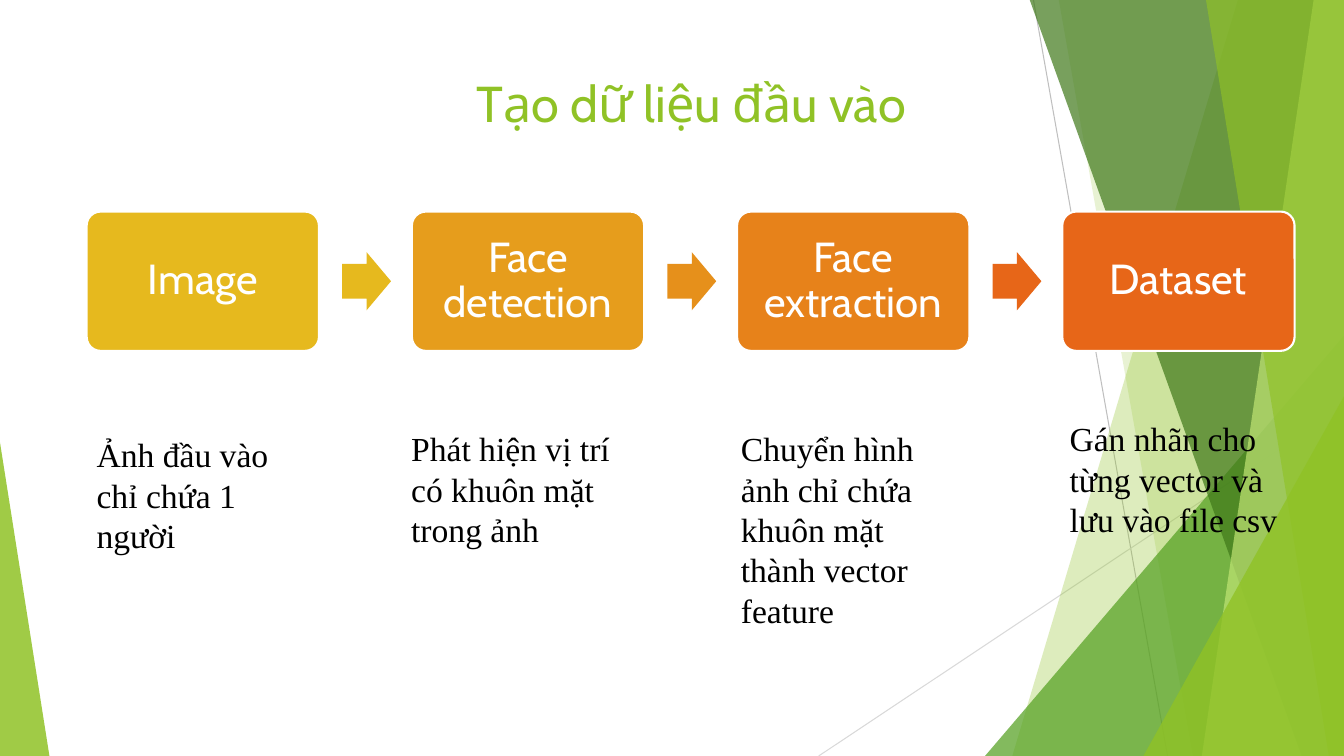
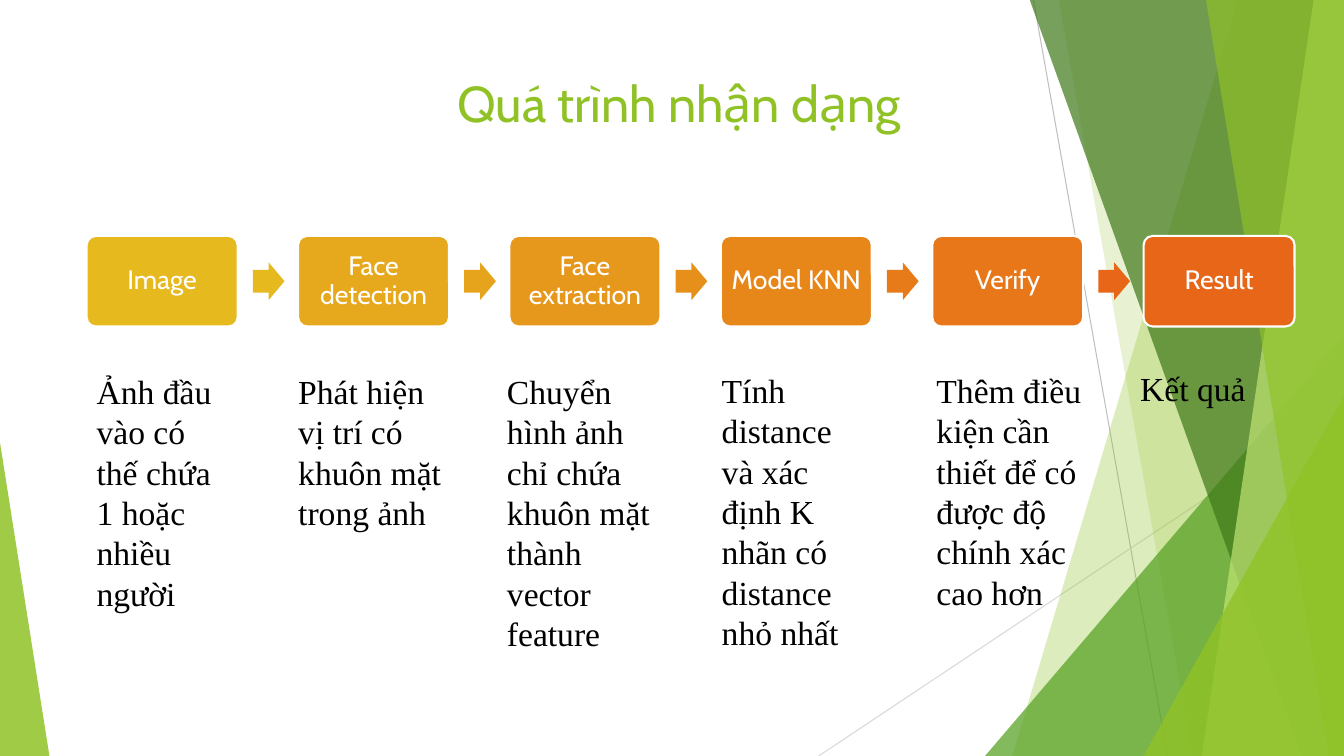
from pptx import Presentation
from pptx.dml.color import RGBColor
from pptx.enum.shapes import MSO_CONNECTOR, MSO_SHAPE
from pptx.enum.text import MSO_ANCHOR, MSO_AUTO_SIZE, PP_ALIGN
from pptx.oxml import parse_xml
from pptx.oxml.ns import nsdecls, qn
from pptx.util import Inches, Pt
from lxml import etree

LINE = MSO_CONNECTOR.STRAIGHT
BOX, ARROW = MSO_SHAPE.ROUNDED_RECTANGLE, MSO_SHAPE.RIGHT_ARROW
WEDGE = MSO_SHAPE.ISOSCELES_TRIANGLE
LEFT, CENTER = PP_ALIGN.LEFT, PP_ALIGN.CENTER
TOP, MIDDLE = MSO_ANCHOR.TOP, MSO_ANCHOR.MIDDLE
GROW = MSO_AUTO_SIZE.SHAPE_TO_FIT_TEXT

COLORS = {
    "white": "FFFFFF", "black": "000000",
    "gray": "BFBFBF", "pale": "D9D9D9",
    "lime": "90C226", "leaf": "54A021", "pine": "3F7819", "mint": "C0E474",
    "gold": "E6B91E", "rust": "E76618",
}
HEAD, BODY = "Cabin", "Times New Roman"
WIDE, HIGH = 13.33, 7.5

# Flow chart: left edge, total width and vertical middle
START, SPAN, MID = 0.86, 11.98, 2.79

# Title box, box text size, then (label, note, note left, note top, note width)
SLIDES = [
    ("Tạo dữ liệu đầu vào", 12.23, 30, [
        ("Image", "Ảnh đầu vào chỉ chứa 1 người", 0.86, 4.26, 2.33),
        ("Face detection", "Phát hiện vị trí có khuôn mặt trong ảnh",
         3.98, 4.2, 2.33),
        ("Face extraction",
         "Chuyển hình ảnh chỉ chứa khuôn mặt thành vector feature",
         7.25, 4.2, 2.33),
        ("Dataset", "Gán nhãn cho từng vector và lưu vào file csv",
         10.51, 4.1, 2.33),
    ]),
    ("Quá trình nhận dạng", 11.99, 19, [
        ("Image", "Ảnh đầu vào có thế chứa 1 hoặc nhiều người",
         0.86, 3.63, 1.56),
        ("Face detection", "Phát hiện vị trí có khuôn mặt trong ảnh",
         2.86, 3.63, 1.64),
        ("Face extraction",
         "Chuyển hình ảnh chỉ chứa khuôn mặt thành vector feature",
         4.93, 3.63, 1.64),
        ("Model KNN", "Tính distance và xác định K nhãn có distance nhỏ nhất",
         7.06, 3.62, 1.64),
        ("Verify", "Thêm điều kiện cần thiết để có được độ chính xác cao hơn",
         9.19, 3.62, 1.64),
        ("Result", "Kết quả", 11.21, 3.6, 1.64),
    ]),
]


def rgb(name):
    return RGBColor.from_string(COLORS[name])


def blend(part):
    """Colour at a share of the way from gold to rust."""
    return RGBColor(*(round(a + (b - a) * part)
                      for a, b in zip(rgb("gold"), rgb("rust"))))


def paint(shape, color, alpha=100, edge=None):
    shape.shadow.inherit = False
    shape.fill.solid()
    shape.fill.fore_color.rgb = color
    if alpha < 100:
        tone = shape.fill._xPr.find(qn("a:solidFill"))[0]
        etree.SubElement(tone, qn("a:alpha")).set("val", str(alpha * 1000))
    if edge:
        shape.line.color.rgb = rgb(edge)
        shape.line.width = Pt(1.5)
    else:
        shape.line.fill.background()


def write(shape, text, size, font=BODY, color="black", align=LEFT,
          anchor=TOP, inset=None, space=None):
    frame = shape.text_frame
    frame.word_wrap = True
    frame.vertical_anchor = anchor
    if inset is not None:
        frame.margin_left = frame.margin_right = Inches(inset)
        frame.margin_top = frame.margin_bottom = Inches(inset)
    para = frame.paragraphs[0]
    para.alignment = align
    para.line_spacing = space
    run = para.add_run()
    run.text = text
    run.font.size = Pt(size)
    run.font.name = font
    run.font.color.rgb = rgb(color)


def block(slide, kind, x, y, w, h, *adjust):
    shape = slide.shapes.add_shape(kind, Inches(x), Inches(y),
                                   Inches(w), Inches(h))
    for i, value in enumerate(adjust):
        shape.adjustments[i] = value
    return shape


def label(slide, text, x, y, w, h, **style):
    shape = slide.shapes.add_textbox(Inches(x), Inches(y),
                                     Inches(w), Inches(h))
    write(shape, text, **style)
    return shape


def thread(slide, x1, y1, x2, y2, color):
    line = slide.shapes.add_connector(LINE, Inches(x1), Inches(y1),
                                      Inches(x2), Inches(y2))
    line.line.color.rgb = rgb(color)
    line.line.width = Pt(0.75)
    line._element.spPr.append(parse_xml(f"<a:effectLst {nsdecls('a')}/>"))


def sheet(slide, top, base, color, alpha):
    """Band from a slanted left side to the right edge of the slide."""
    pen = slide.shapes.build_freeform(Inches(top), Inches(-0.01))
    pen.add_line_segments([(Inches(x), Inches(y)) for x, y in
                           ((WIDE, -0.01), (WIDE, HIGH), (base, HIGH))])
    paint(pen.convert_to_shape(), rgb(color), alpha)


def wedge(slide, x, y, w, tip, color, alpha):
    paint(block(slide, WEDGE, x, y, w, HIGH - y, tip), rgb(color), alpha)


def decor(slide):
    thread(slide, 10.25, 0, 11.58, HIGH, "gray")
    thread(slide, WIDE, 4.03, 8.12, HIGH, "pale")
    sheet(slide, 12.28, 10.04, "lime", 30)
    sheet(slide, 10.5, 11.83, "lime", 20)
    wedge(slide, 9.77, 3.33, 3.56, 1, "leaf", 72)
    sheet(slide, 10.21, 12.91, "pine", 70)
    sheet(slide, 13.03, 11.92, "mint", 70)
    sheet(slide, 11.96, 13.18, "lime", 65)
    wedge(slide, 11.34, 3.93, 1.99, 1, "lime", 80)
    wedge(slide, 0, 4.39, 0.49, 0, "lime", 85)


def flow(slide, names, size):
    """Equal boxes, with gaps of 0.4 box widths that hold the arrows."""
    last = len(names) - 1
    w = SPAN / (1 + 1.4 * last)
    h, tall = 0.6 * w, 0.25 * w
    for i, name in enumerate(names):
        x = START + 1.4 * w * i
        box = block(slide, BOX, x, MID - h / 2, w, h, 0.1)
        paint(box, blend(i / last), edge="white")
        write(box, name, size, font=HEAD, color="white", align=CENTER,
              anchor=MIDDLE, inset=0.05 * w, space=0.9)
        if i < last:
            arrow = block(slide, ARROW, x + 1.1 * w, MID - tall / 2,
                          0.21 * w, tall, 0.6, 0.5)
            paint(arrow, blend(i / (last - 1)))


def main():
    deck = Presentation()
    deck.slide_width, deck.slide_height = Inches(WIDE), Inches(HIGH)
    for title, width, size, steps in SLIDES:
        slide = deck.slides.add_slide(deck.slide_layouts[6])
        decor(slide)
        label(slide, title, 0.74, 0.67, width, 1.44, size=36, font=HEAD,
              color="lime", align=CENTER)
        flow(slide, [step[0] for step in steps], size)
        for _, note, x, y, w in steps:
            box = label(slide, note, x, y, w, 0.5, size=24)
            box.text_frame.auto_size = GROW
    deck.save("out.pptx")


if __name__ == "__main__":
    main()
